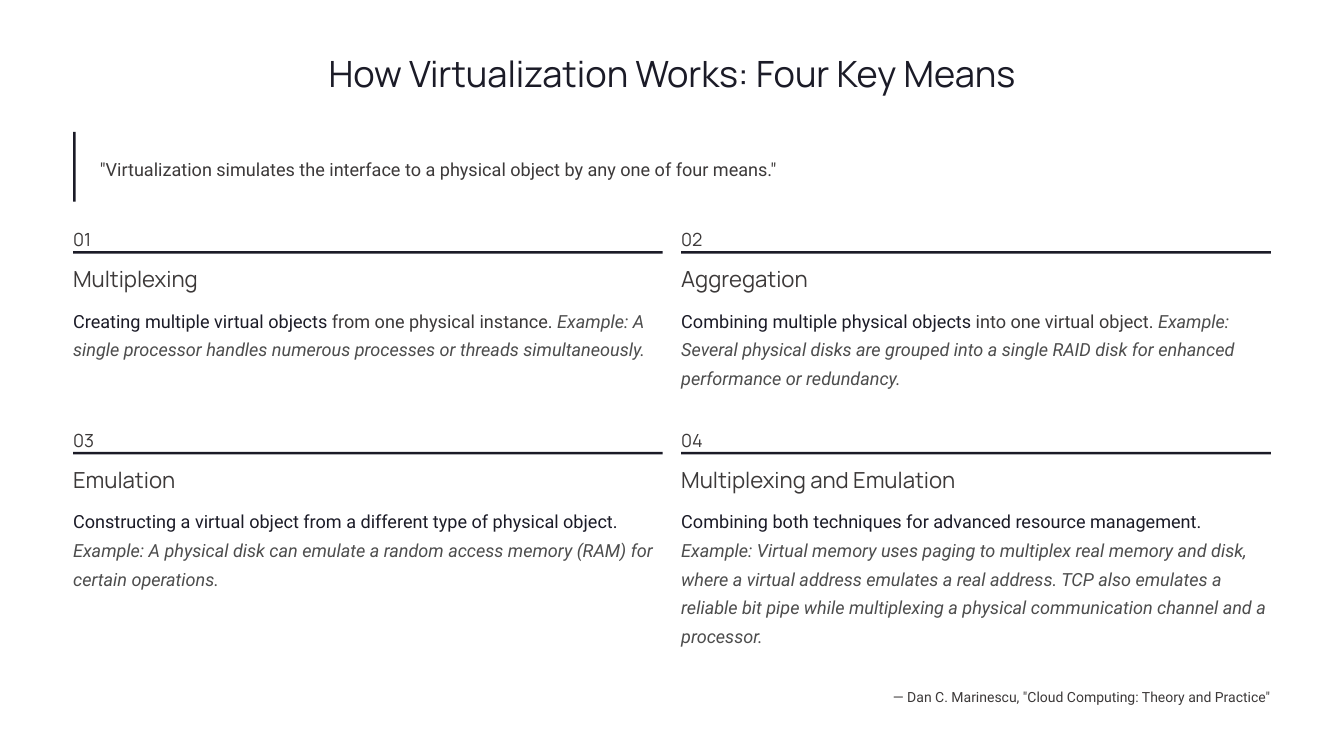
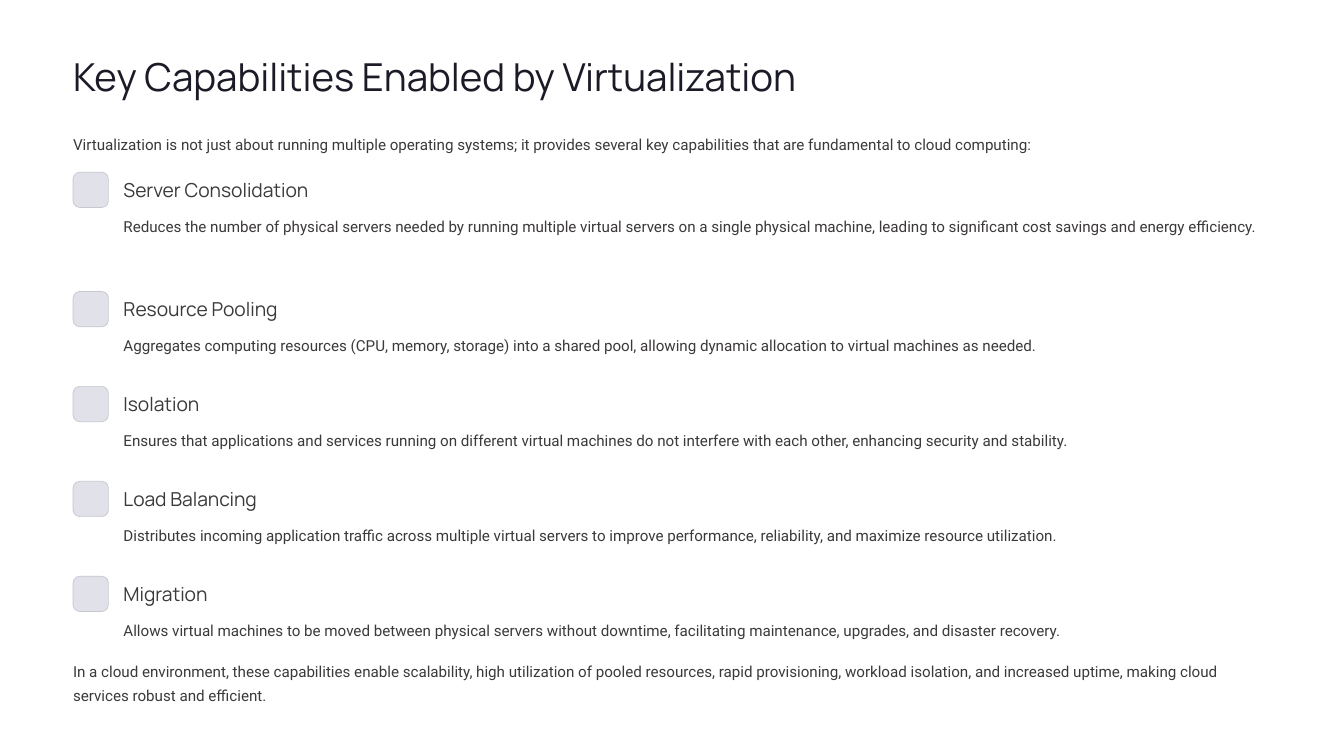
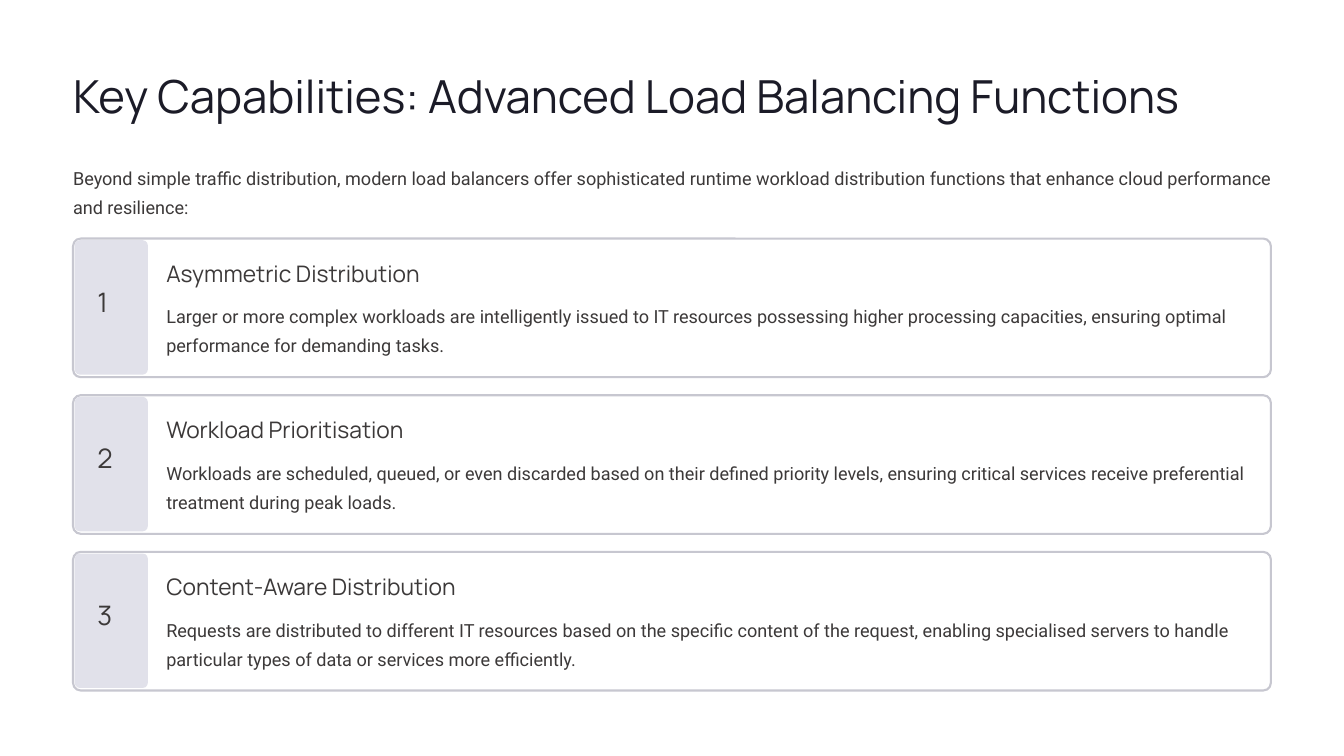
from lxml import etree
from pptx import Presentation
from pptx.dml.color import RGBColor
from pptx.enum.shapes import MSO_SHAPE
from pptx.enum.text import MSO_ANCHOR, MSO_AUTO_SIZE, PP_ALIGN
from pptx.oxml.ns import qn
from pptx.util import Inches, Pt

RECT, ROUND = MSO_SHAPE.RECTANGLE, MSO_SHAPE.ROUNDED_RECTANGLE
LEFT, CENTER, RIGHT = PP_ALIGN.LEFT, PP_ALIGN.CENTER, PP_ALIGN.RIGHT
TOP, NO_FIT = MSO_ANCHOR.TOP, MSO_AUTO_SIZE.NONE

INK = RGBColor(0x1B, 0x1B, 0x27)
BODY = RGBColor(0x3C, 0x39, 0x39)
MUTED = RGBColor(0x4D, 0x4D, 0x4D)
TILE = RGBColor(0xE1, 0xE1, 0xEA)
BORDER = RGBColor(0xC7, 0xC7, 0xD0)
WHITE = RGBColor(0xFF, 0xFF, 0xFF)

HEADING_FONT, BODY_FONT = "Manrope", "Roboto"
MARGIN, CONTENT_W = 0.87, 14.26

# Run formats by role
STRONG = {"color": INK}
PLAIN = {"color": BODY}
EXAMPLE = {"color": MUTED, "italic": True}

MEANS_TITLE = "How Virtualization Works: Four Key Means"
QUOTE = '"Virtualization simulates the interface to a physical object by any one of four means."'
CITATION = '— Dan C. Marinescu, "Cloud Computing: Theory and Practice"'
MEANS = [
    ("Multiplexing", [
        ("Creating multiple virtual objects", STRONG),
        (" from one physical instance. ", PLAIN),
        ("Example: A single processor handles numerous processes or threads "
         "simultaneously.", EXAMPLE)]),
    ("Aggregation", [
        ("Combining multiple physical objects", STRONG),
        (" into one virtual object. ", PLAIN),
        ("Example: Several physical disks are grouped into a single RAID disk for "
         "enhanced performance or redundancy.", EXAMPLE)]),
    ("Emulation", [
        ("Constructing a virtual object from a different type of physical object. ", STRONG),
        ("Example: A physical disk can emulate a random access memory (RAM) for "
         "certain operations.", EXAMPLE)]),
    ("Multiplexing and Emulation", [
        ("Combining both techniques for advanced resource management. ", STRONG),
        ("Example: Virtual memory uses paging to multiplex real memory and disk, where "
         "a virtual address emulates a real address. TCP also emulates a reliable bit "
         "pipe while multiplexing a physical communication channel and a processor.",
         EXAMPLE)]),
]

CAPABILITIES_TITLE = "Key Capabilities Enabled by Virtualization"
CAPABILITIES_INTRO = (
    "Virtualization is not just about running multiple operating systems; it provides "
    "several key capabilities that are fundamental to cloud computing:")
CAPABILITIES_SUMMARY = (
    "In a cloud environment, these capabilities enable scalability, high utilization of "
    "pooled resources, rapid provisioning, workload isolation, and increased uptime, "
    "making cloud services robust and efficient.")
# Heading, description, lines reserved for the description
CAPABILITIES = [
    ("Server Consolidation",
     "Reduces the number of physical servers needed by running multiple virtual servers "
     "on a single physical machine, leading to significant cost savings and energy "
     "efficiency.", 2),
    ("Resource Pooling",
     "Aggregates computing resources (CPU, memory, storage) into a shared pool, allowing "
     "dynamic allocation to virtual machines as needed.", 1),
    ("Isolation",
     "Ensures that applications and services running on different virtual machines do "
     "not interfere with each other, enhancing security and stability.", 1),
    ("Load Balancing",
     "Distributes incoming application traffic across multiple virtual servers to "
     "improve performance, reliability, and maximize resource utilization.", 1),
    ("Migration",
     "Allows virtual machines to be moved between physical servers without downtime, "
     "facilitating maintenance, upgrades, and disaster recovery.", 1),
]

FUNCTIONS_TITLE = "Key Capabilities: Advanced Load Balancing Functions"
FUNCTIONS_INTRO = (
    "Beyond simple traffic distribution, modern load balancers offer sophisticated "
    "runtime workload distribution functions that enhance cloud performance and "
    "resilience:")
FUNCTIONS = [
    ("Asymmetric Distribution",
     "Larger or more complex workloads are intelligently issued to IT resources "
     "possessing higher processing capacities, ensuring optimal performance for "
     "demanding tasks."),
    ("Workload Prioritisation",
     "Workloads are scheduled, queued, or even discarded based on their defined priority "
     "levels, ensuring critical services receive preferential treatment during peak "
     "loads."),
    ("Content-Aware Distribution",
     "Requests are distributed to different IT resources based on the specific content "
     "of the request, enabling specialised servers to handle particular types of data or "
     "services more efficiently."),
]


def place(sp, x, y, w, h):
    sp.left, sp.top, sp.width, sp.height = (Inches(v) for v in (x, y, w, h))


def write(sp, runs, size, spacing, font=BODY_FONT, color=BODY, align=LEFT):
    """Fill a shape with one paragraph; runs is a string or (text, format) pairs."""
    tf = sp.text_frame
    frame = {"margin_left": 0, "margin_top": 0, "margin_right": 0, "margin_bottom": 0,
             "word_wrap": True, "auto_size": NO_FIT, "vertical_anchor": TOP}
    for name, value in frame.items():
        setattr(tf, name, value)
    p = tf.paragraphs[0]
    p.alignment, p.line_spacing = align, Pt(spacing)
    if isinstance(runs, str):
        runs = [(runs, {"color": color})]
    for text, style in runs:
        r = p.add_run()
        r.text = text
        r.font.color.rgb = style["color"]
        look = {"name": font, "size": Pt(size), "italic": style.get("italic")}
        for name, value in look.items():
            setattr(r.font, name, value)


def add_text(slide, x, y, w, h, runs, size, spacing, **style):
    sp = slide.shapes.add_textbox(*(Inches(v) for v in (x, y, w, h)))
    write(sp, runs, size, spacing, **style)


def add_box(slide, kind, x, y, w, h, fill, corner=None, line_width=None):
    sp = slide.shapes.add_shape(kind, *(Inches(v) for v in (x, y, w, h)))
    sp.shadow.inherit = False
    sp.fill.solid()
    sp.fill.fore_color.rgb = fill
    if corner:
        sp.adjustments[0] = corner
    if line_width:
        sp.line.color.rgb = BORDER
        sp.line.width = Pt(line_width)
    else:
        sp.line.fill.background()
    return sp


def set_opacity(sp, percent):
    color = sp.fill._xPr.find(qn("a:solidFill"))[0]
    etree.SubElement(color, qn("a:alpha")).set("val", str(percent * 1000))


def new_slide(prs, title, y, h, size, spacing, align=LEFT):
    slide = prs.slides.add_slide(prs.slide_layouts[5])
    place(slide.shapes.title, MARGIN, y, CONTENT_W, h)
    write(slide.shapes.title, title, size, spacing,
          font=HEADING_FONT, color=INK, align=align)
    return slide


def build_means(prs):
    slide = new_slide(prs, MEANS_TITLE, 0.59, 0.54, 31, 38.5, CENTER)
    add_text(slide, 1.19, 1.81, 13.94, 0.35, QUOTE, 15.5, 24.5)
    add_box(slide, RECT, MARGIN, 1.57, 0.03, 0.83, INK)

    gap, top, row_pitch = 0.22, 2.64, 2.39
    col_w = (CONTENT_W - gap) / 2
    for i, (heading, runs) in enumerate(MEANS):
        row, col = divmod(i, 2)
        x, y = MARGIN + col * (col_w + gap), top + row * row_pitch
        add_text(slide, x, y, 0.5, 0.27, f"{i + 1:02}", 15.5, 24.5, font=HEADING_FONT)
        add_box(slide, RECT, x, y + 0.35, col_w, 0.03, INK)
        add_text(slide, x, y + 0.5, col_w, 0.34, heading, 19, 24, font=HEADING_FONT)
        add_text(slide, x, y + 0.97, col_w, 1.73 if i == 3 else 1.04, runs, 15.5, 24.5)
    add_text(slide, MARGIN, 8.13, CONTENT_W, 0.28, CITATION, 12, 19.5, align=RIGHT)


def build_capabilities(prs):
    slide = new_slide(prs, CAPABILITIES_TITLE, 0.6, 0.58, 33, 41.5)
    add_text(slide, MARGIN, 1.54, CONTENT_W, 0.3, CAPABILITIES_INTRO, 13, 21)

    y, tile, indent, text_drop, line_h, gap = 2.05, 0.42, 0.6, 0.46, 0.29, 0.38
    x, w = MARGIN + indent, CONTENT_W - indent
    for heading, description, lines in CAPABILITIES:
        add_box(slide, ROUND, MARGIN, y, tile, tile, TILE, 0.19, 0.6)
        add_text(slide, x, y + 0.06, w, 0.29, heading, 16.5, 20.5, font=HEADING_FONT)
        add_text(slide, x, y + text_drop, w, lines * line_h, description, 13, 21)
        y += text_drop + lines * line_h + gap
    add_text(slide, MARGIN, 7.81, CONTENT_W, 0.59, CAPABILITIES_SUMMARY, 13, 21)


def build_functions(prs):
    slide = new_slide(prs, FUNCTIONS_TITLE, 0.79, 0.68, 39, 48.5)
    add_text(slide, MARGIN, 1.9, CONTENT_W, 0.69, FUNCTIONS_INTRO, 15.5, 25)

    top, bottom, card_h, inset = 2.84, 8.22, 1.65, 0.02
    pitch = (bottom - top - card_h) / (len(FUNCTIONS) - 1)
    x = 1.98
    for i, (heading, description) in enumerate(FUNCTIONS):
        y = top + i * pitch
        card = add_box(slide, ROUND, MARGIN, y, CONTENT_W, card_h, WHITE, 0.055, 1.8)
        set_opacity(card, 95)
        add_box(slide, ROUND, MARGIN + inset, y + inset, 0.87, 1.6, TILE, 0.07)
        add_text(slide, 1.16, y + 0.62, 0.33, 0.41, str(i + 1), 23, 23, font=HEADING_FONT)
        add_text(slide, x, y + 0.24, 13, 0.34, heading, 19.5, 24, font=HEADING_FONT)
        add_text(slide, x, y + 0.71, 13.13, 0.69, description, 15.5, 25)


def main():
    prs = Presentation()
    prs.slide_width, prs.slide_height = Inches(16), Inches(9)
    build_means(prs)
    build_capabilities(prs)
    build_functions(prs)
    prs.save("out.pptx")


if __name__ == "__main__":
    main()
